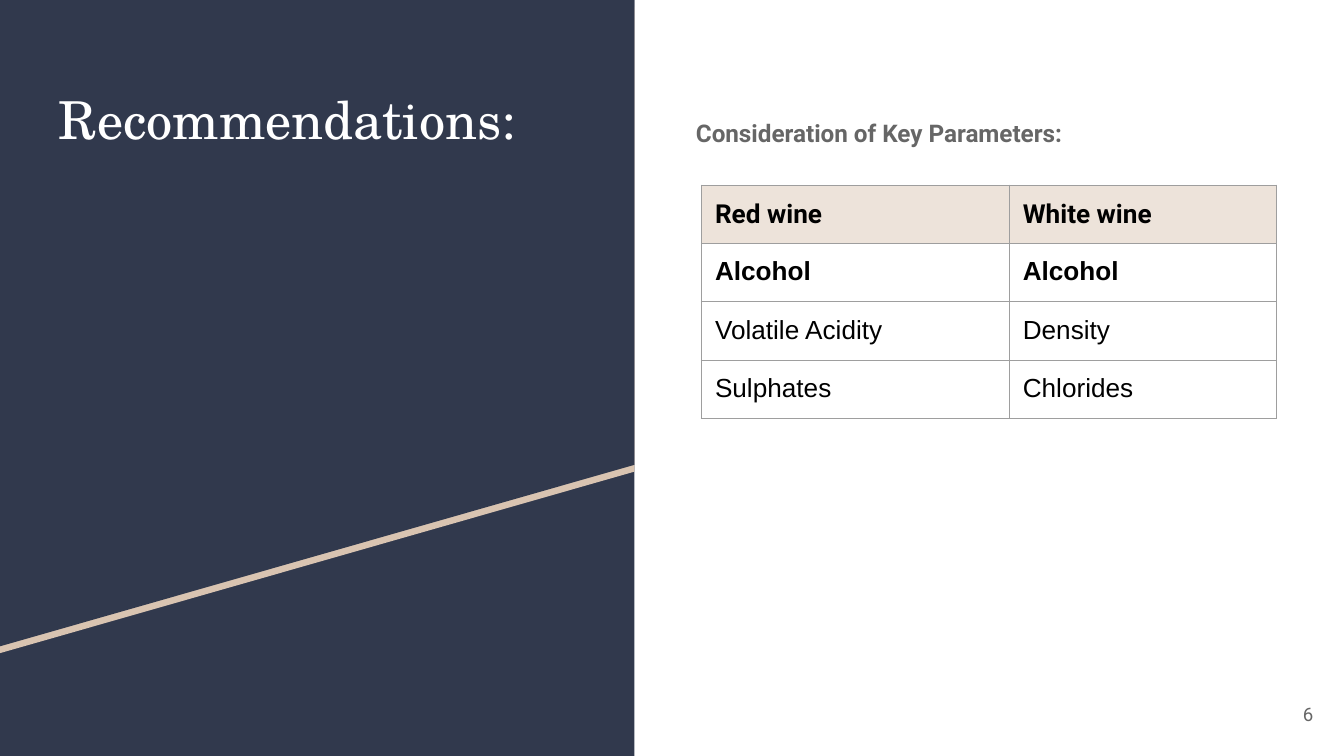
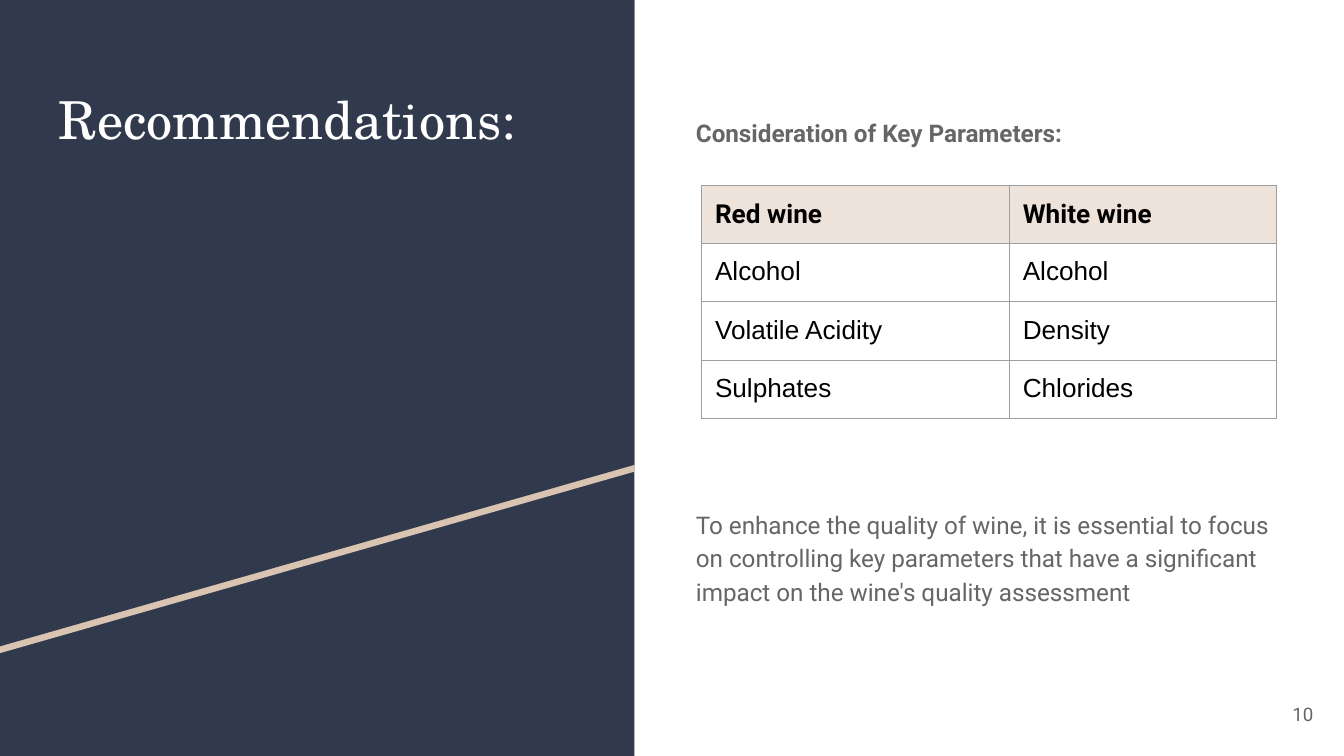
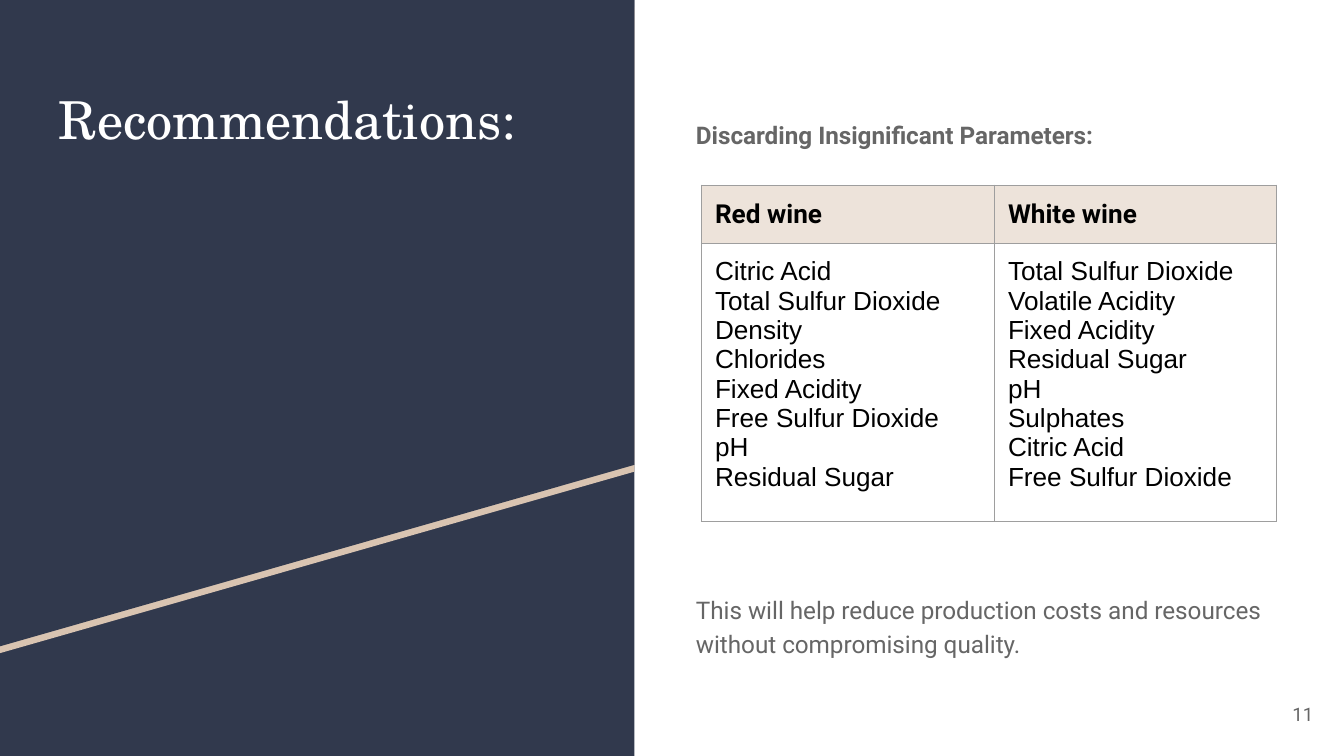
from lxml.etree import SubElement
from pptx import Presentation
from pptx.dml.color import RGBColor
from pptx.enum.shapes import MSO_SHAPE
from pptx.enum.text import MSO_ANCHOR, PP_ALIGN
from pptx.oxml.ns import qn
from pptx.util import Inches, Pt

COLORS = {
    "navy": "31394D",
    "sand": "D9C4B1",
    "header": "EDE3DA",
    "border": "9E9E9E",
    "gray": "666666",
    "white": "FFFFFF",
    "black": "000000",
}
INSET = Inches(0.1)

prs = Presentation()
prs.slide_width, prs.slide_height = Inches(10), Inches(5.625)
# Positions and sizes are counted on a grid of 100 columns by 100 rows.
COL, ROW = prs.slide_width / 100, prs.slide_height / 100
PANEL = 47.2
SLANT_LEFT, SLANT_RIGHT, STRIPE = 85.5, 61.5, 0.9

KEY_ROWS = [("Alcohol", "Alcohol"), ("Volatile Acidity", "Density"), ("Sulphates", "Chlorides")]
DISCARDED = [(
    "Citric Acid\nTotal Sulfur Dioxide\nDensity\nChlorides\n"
    "Fixed Acidity\nFree Sulfur Dioxide\npH\nResidual Sugar",
    "Total Sulfur Dioxide\nVolatile Acidity\nFixed Acidity\nResidual Sugar\n"
    "pH\nSulphates\nCitric Acid\nFree Sulfur Dioxide",
)]
SLIDES = [
    dict(number="6", heading="Consideration of Key Parameters:", top=13.3,
         rows=KEY_ROWS, cols=(22.9, 19.9), bold_rows=(0, 1), note=None, gap=0),
    dict(number="10", heading="Consideration of Key Parameters:", top=13.3,
         rows=KEY_ROWS, cols=(22.9, 19.9), bold_rows=(0,), gap=192,
         note="To enhance the quality of wine, it is essential to focus on controlling key "
              "parameters that have a significant impact on the wine's quality assessment"),
    dict(number="11", heading="Discarding Insignificant Parameters:", top=13.5,
         rows=DISCARDED, cols=(21.8, 21), bold_rows=(0,), gap=237,
         note="This will help reduce production costs and resources "
              "without compromising quality."),
]


def style(p, size, name, color, bold=False):
    p.font.size, p.font.name, p.font.bold = Pt(size), name, bold
    p.font.color.rgb = RGBColor.from_string(COLORS[color])


def add_text(s, left, top, width, height, text):
    """Add a wrapping text box placed on the grid and return its text frame."""
    box = s.shapes.add_textbox(*(round(v) for v in (left * COL, top * ROW, width * COL, height * ROW)))
    tf = box.text_frame
    tf.word_wrap = True
    tf.margin_left = tf.margin_right = tf.margin_top = tf.margin_bottom = INSET
    tf.text = text
    return tf


for page in SLIDES:
    s = prs.slides.add_slide(prs.slide_layouts[6])

    # Navy panel crossed by a slanted sand stripe
    panel = s.shapes.add_shape(MSO_SHAPE.RECTANGLE, 0, 0, round(PANEL * COL), prs.slide_height)
    parts = [(panel, "navy")]
    for shift, color in ((STRIPE, "sand"), (0, "navy")):
        fb = s.shapes.build_freeform(0, round(shift * ROW))
        fb.add_line_segments([
            (round(x * COL), round((y + shift) * ROW))
            for x, y in ((PANEL, 0), (PANEL, SLANT_RIGHT), (0, SLANT_LEFT))
        ])
        parts.append((fb.convert_to_shape(), color))
    for sp, color in parts:
        sp.shadow.inherit = False
        sp.fill.solid()
        sp.fill.fore_color.rgb = RGBColor.from_string(COLORS[color])
        sp.line.fill.background()

    tf = add_text(s, 3.4, 9.8, 40.5, 48.7, "Recommendations:")
    style(tf.paragraphs[0], 28, "TeX Gyre Schola", "white")

    # Heading and closing note share one box, with the table in the gap
    tf = add_text(s, 50.8, page["top"], 45.3, 85, page["heading"])
    style(tf.paragraphs[0], 13, "Roboto", "gray", True)
    if page["note"]:
        p = tf.add_paragraph()
        p.text = page["note"]
        p.space_before = Pt(page["gap"])
        style(p, 13, "Roboto", "gray")
    for p in tf.paragraphs:
        p.line_spacing = 1.15

    tf = add_text(s, 92.7, 90.7, 6, 7.6, page["number"])
    tf.vertical_anchor = MSO_ANCHOR.MIDDLE
    tf.paragraphs[0].alignment = PP_ALIGN.RIGHT
    style(tf.paragraphs[0], 10, "Roboto", "gray")

    rows = [("Red wine", "White wine"), *page["rows"]]
    table = s.shapes.add_table(
        len(rows), 2, round(52.2 * COL), round(24.5 * ROW),
        round(sum(page["cols"]) * COL), round(7.5 * ROW * len(rows)),
    ).table
    table.first_row = table.horz_banding = False
    for column, width in zip(table.columns, page["cols"]):
        column.width = round(width * COL)
    for r, texts in enumerate(rows):
        table.rows[r].height = Inches(0.42 if r else 0.38)
        for c, text in enumerate(texts):
            cell = table.cell(r, c)
            cell.text = text
            cell.margin_left = cell.margin_right = cell.margin_top = cell.margin_bottom = INSET
            for p in cell.text_frame.paragraphs:
                style(p, 14, "Arial" if r else "Roboto", "black", r in page["bold_rows"])
            tcPr = cell._tc.get_or_add_tcPr()
            for side in ("a:lnL", "a:lnR", "a:lnT", "a:lnB"):
                ln = SubElement(tcPr, qn(side), w=str(Pt(0.75)))
                SubElement(SubElement(ln, qn("a:solidFill")), qn("a:srgbClr"), val=COLORS["border"])
            if r:
                cell.fill.background()
            else:
                cell.fill.solid()
                cell.fill.fore_color.rgb = RGBColor.from_string(COLORS["header"])

prs.save("out.pptx")
